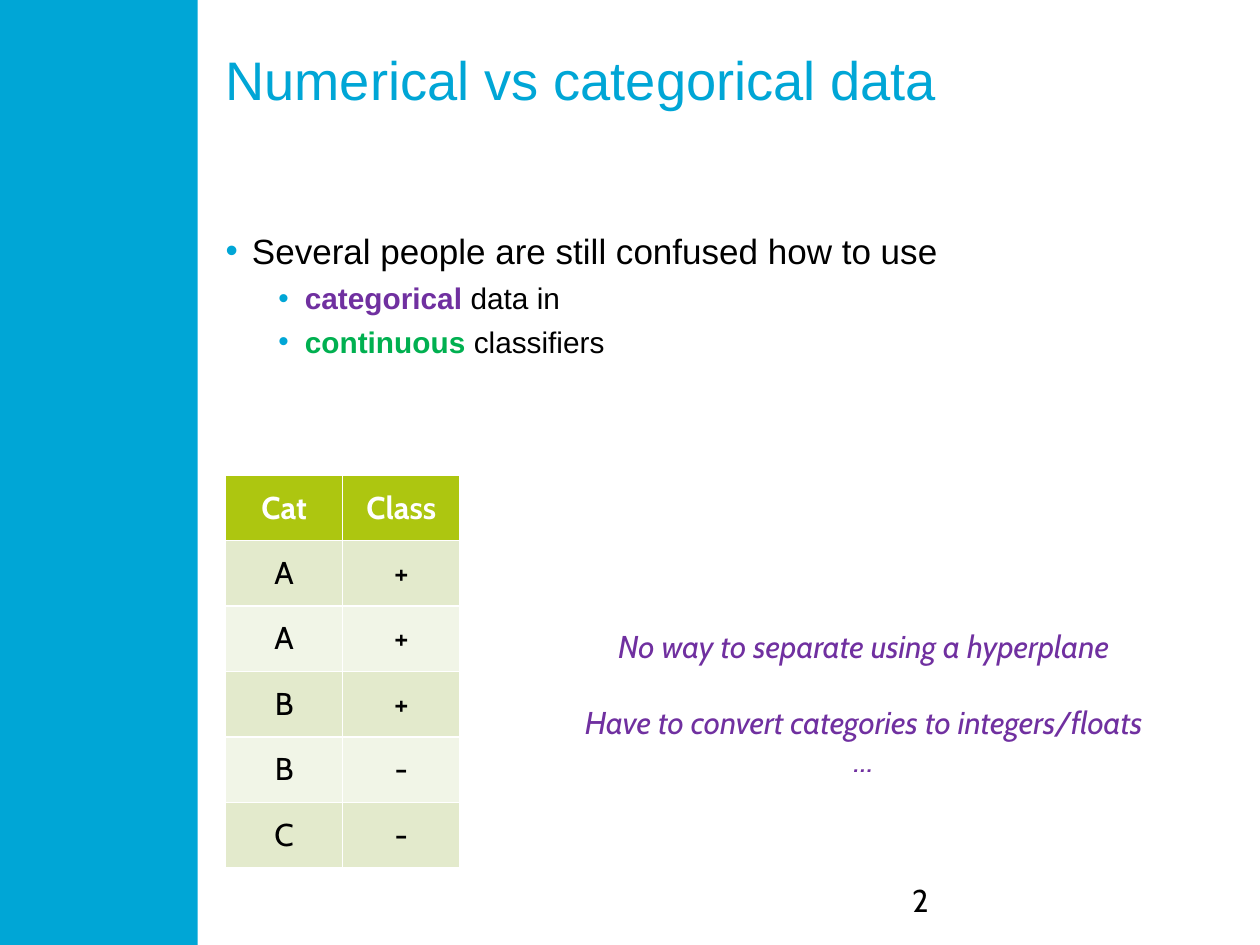
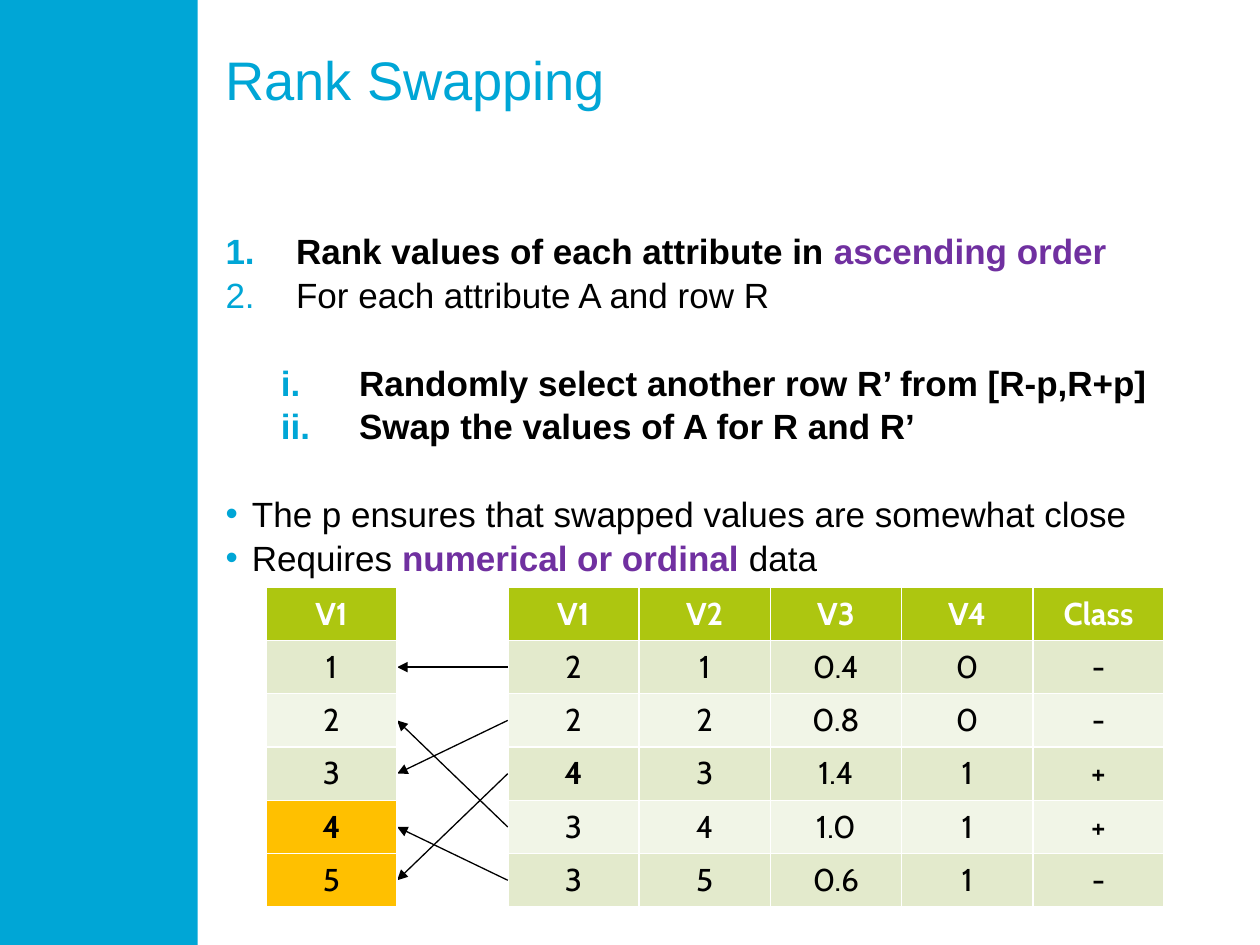
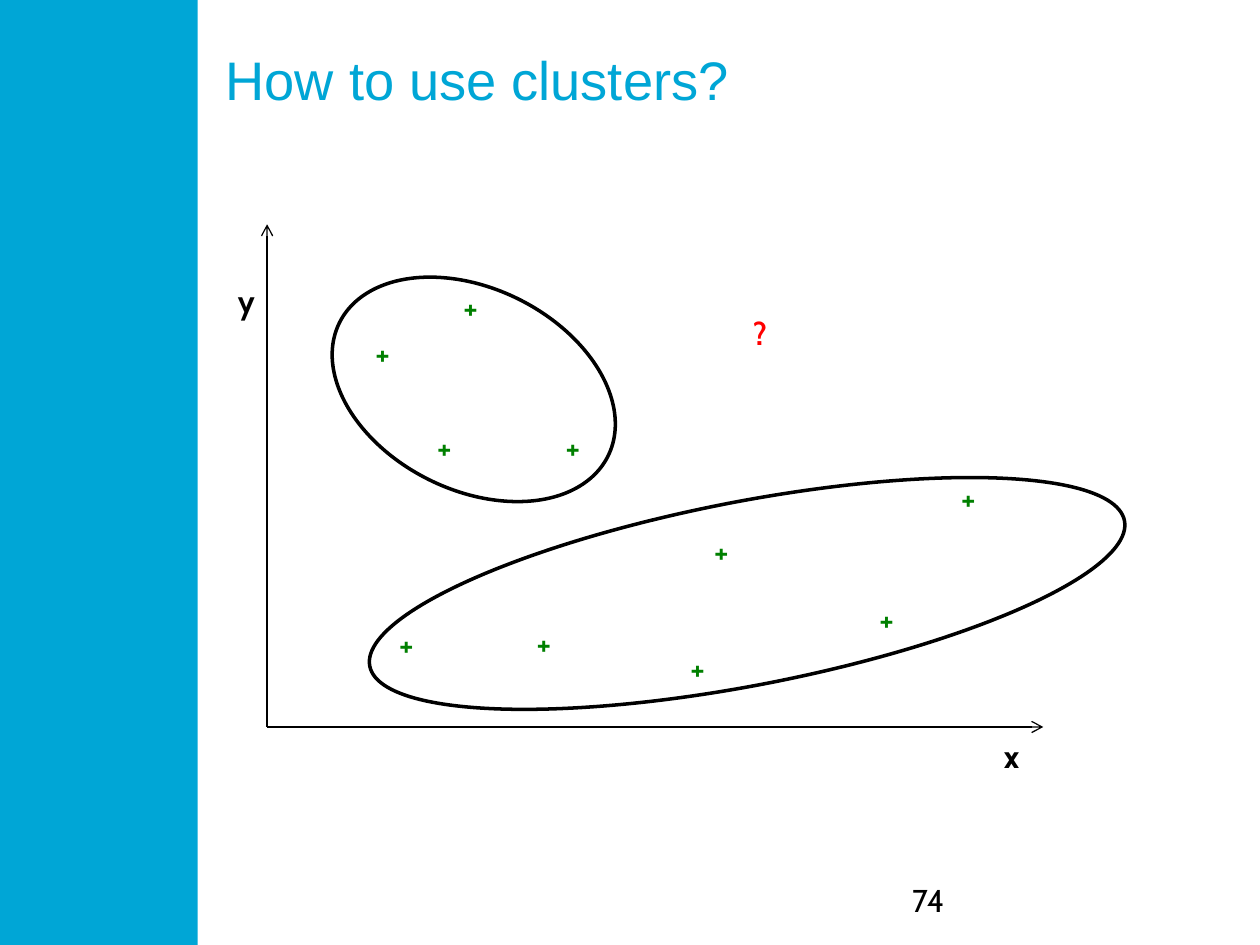
from dataclasses import dataclass
from typing import NamedTuple

from lxml import etree
from pptx import Presentation
from pptx.dml.color import RGBColor
from pptx.enum.shapes import MSO_CONNECTOR, MSO_SHAPE
from pptx.enum.text import MSO_ANCHOR, MSO_AUTO_SIZE, PP_ALIGN
from pptx.oxml.ns import qn
from pptx.util import Emu, Inches, Pt

RECTANGLE, ELLIPSE = MSO_SHAPE.RECTANGLE, MSO_SHAPE.OVAL
STRAIGHT = MSO_CONNECTOR.STRAIGHT
TOP, MIDDLE = MSO_ANCHOR.TOP, MSO_ANCHOR.MIDDLE
LEFT, CENTER = PP_ALIGN.LEFT, PP_ALIGN.CENTER
FIXED, GROW = MSO_AUTO_SIZE.NONE, MSO_AUTO_SIZE.SHAPE_TO_FIT_TEXT

# Shared colours and fonts
CYAN = RGBColor(0x00, 0xA6, 0xD6)
BLACK = RGBColor(0x00, 0x00, 0x00)
WHITE = RGBColor(0xFF, 0xFF, 0xFF)
PURPLE = RGBColor(0x70, 0x30, 0xA0)
GREEN = RGBColor(0x00, 0xB0, 0x50)
DARK_GREEN = RGBColor(0x00, 0x80, 0x00)
RED = RGBColor(0xFF, 0x00, 0x00)
LIME = RGBColor(0xAD, 0xC6, 0x10)
ORANGE = RGBColor(0xFF, 0xC0, 0x00)
ROW_FILLS = (RGBColor(0xF1, 0xF5, 0xE7), RGBColor(0xE3, 0xEA, 0xCC))
HEAD_FONT, TEXT_FONT = "Arial", "Cabin"

# Grid: 100 columns by 75 rows
SLIDE_WIDTH, SLIDE_HEIGHT = Inches(10), Inches(7.5)
UNIT = SLIDE_WIDTH / 100
TITLE_ONLY = 5


def grid(count: float) -> Emu:
    return Emu(round(count * UNIT))


class Area(NamedTuple):
    left: float
    top: float
    width: float
    height: float

    def emu(self) -> list[Emu]:
        return [grid(count) for count in self]


class Point(NamedTuple):
    column: float
    row: float


class Span(NamedTuple):
    text: str
    bold: bool = False
    color: RGBColor = BLACK


class Marker(NamedTuple):
    tag: str
    value: str
    margin: float
    hanging: float
    level: int = 0


@dataclass
class Item:
    marker: Marker
    spans: list[Span]
    size: float = 20
    before: float = 0


@dataclass
class DataTable:
    left: float
    top: float
    column_width: float
    row_height: float
    rows: list[list[str]]
    marked_rows: tuple[int, ...] = ()
    bold_cells: tuple[tuple[int, int], ...] = ()

    def row_center(self, row: int) -> float:
        return self.top + (row + 0.5) * self.row_height


BAND = Area(0, 0, 15.7, 75)
TITLE = Area(17.9, 3.7, 77, 11.6)
BODY = Area(17.9, 18.1, 77, 52.6)
PAGE_NUMBER = Area(71.7, 69.5, 23.3, 4)

BULLET = Marker("buChar", "•", 2.1, 2.1)
SUB_BULLET = Marker("buChar", "•", 6.3, 2.1, 1)
NUMBER = Marker("buAutoNum", "arabicPeriod", 5.6, 5.6)
ROMAN = Marker("buAutoNum", "romanLcPeriod", 10.6, 6.2, 1)


def set_font(font, name: str, size: float, color: RGBColor, bold: bool = False) -> None:
    font.name, font.size, font.bold = name, Pt(size), bold
    font.color.rgb = color


def set_margins(frame, side: float, edge: float) -> None:
    frame.margin_left = frame.margin_right = grid(side)
    frame.margin_top = frame.margin_bottom = grid(edge)


def add_page(deck, title: str):
    """Add a page with the side band and the formatted title."""
    page = deck.slides.add_slide(deck.slide_layouts[TITLE_ONLY])
    band = page.shapes.add_shape(RECTANGLE, *BAND.emu())
    band.shadow.inherit = False
    band.fill.solid()
    band.fill.fore_color.rgb = CYAN
    band.line.fill.background()

    box = page.shapes.title
    box.left, box.top, box.width, box.height = TITLE.emu()
    frame = box.text_frame
    frame.text = title
    frame.vertical_anchor, frame.auto_size, frame.word_wrap = TOP, FIXED, True
    set_margins(frame, 0, 0)
    para = frame.paragraphs[0]
    para.alignment = LEFT
    set_font(para.font, HEAD_FONT, 31, CYAN)
    return page


def set_marker(para, marker: Marker) -> None:
    properties = para._p.get_or_add_pPr()
    properties.set("marL", str(grid(marker.margin)))
    properties.set("indent", str(-grid(marker.hanging)))
    para.level = marker.level
    tint = etree.SubElement(properties, qn("a:buClr"))
    etree.SubElement(tint, qn("a:srgbClr"), val=str(CYAN))
    etree.SubElement(properties, qn("a:buFont"), typeface=HEAD_FONT)
    key = "char" if marker.tag == "buChar" else "type"
    etree.SubElement(properties, qn("a:" + marker.tag), {key: marker.value})


def add_body(page, items: list[Item]) -> None:
    frame = page.shapes.add_textbox(*BODY.emu()).text_frame
    frame.word_wrap = True
    set_margins(frame, 0, 0)
    for index, item in enumerate(items):
        para = frame.add_paragraph() if index else frame.paragraphs[0]
        set_marker(para, item.marker)
        para.line_spacing, para.space_before = Pt(25), Pt(item.before)
        set_font(para.font, HEAD_FONT, item.size, BLACK)
        for span in item.spans:
            run = para.add_run()
            run.text, run.font.bold = span.text, span.bold
            run.font.color.rgb = span.color


def add_label(page, area: Area, text: str, color: RGBColor = BLACK, bold: bool = True):
    """Add a one-line label that fits its text."""
    frame = page.shapes.add_textbox(*area.emu()).text_frame
    frame.word_wrap, frame.auto_size = False, GROW
    frame.text = text
    set_font(frame.paragraphs[0].font, TEXT_FONT, 18, color, bold)
    return frame


def add_page_number(page, number: int) -> None:
    frame = add_label(page, PAGE_NUMBER, str(number), bold=False)
    frame.word_wrap, frame.auto_size = True, FIXED
    set_margins(frame, 0.7, 0.4)


def add_data_table(page, data: DataTable) -> None:
    row_count, column_count = len(data.rows), len(data.rows[0])
    area = Area(data.left, data.top, column_count * data.column_width,
                row_count * data.row_height)
    table = page.shapes.add_table(row_count, column_count, *area.emu()).table
    for row, texts in enumerate(data.rows):
        for column, text in enumerate(texts):
            cell = table.cell(row, column)
            fill = LIME if row == 0 else ROW_FILLS[row % 2]
            cell.fill.solid()
            cell.fill.fore_color.rgb = ORANGE if row in data.marked_rows else fill
            cell.vertical_anchor = MIDDLE
            cell.text = text
            para = cell.text_frame.paragraphs[0]
            para.alignment = CENTER
            bold = row == 0 or (row, column) in data.bold_cells
            set_font(para.font, TEXT_FONT, 18, BLACK if row else WHITE, bold)


def add_arrow(page, start: Point, end: Point, head: str) -> None:
    ends = [grid(count) for count in (*start, *end)]
    arrow = page.shapes.add_connector(STRAIGHT, *ends)
    arrow.line.color.rgb, arrow.line.width = BLACK, Pt(0.75)
    etree.SubElement(arrow.line._get_or_add_ln(), qn("a:tailEnd"), type=head)
    etree.SubElement(arrow._element.spPr, qn("a:effectLst"))


def add_cluster(page, area: Area, rotation: float) -> None:
    ring = page.shapes.add_shape(ELLIPSE, *area.emu())
    ring.shadow.inherit = False
    ring.fill.background()
    ring.line.color.rgb, ring.line.width = BLACK, Pt(2)
    ring.rotation = rotation


def build_categorical(deck) -> None:
    page = add_page(deck, "Numerical vs categorical data")
    add_body(page, [
        Item(BULLET, [Span("Several people are still confused how to use")]),
        Item(SUB_BULLET, [Span("categorical", True, PURPLE), Span(" data in")], 17),
        Item(SUB_BULLET, [Span("continuous", True, GREEN), Span(" classifiers")], 17),
    ])
    add_page_number(page, 2)
    pairs = ["A+", "A+", "B+", "B-", "C-"]
    add_data_table(page, DataTable(17.9, 37.7, 9.3, 5.2,
                                   [["Cat", "Class"], *map(list, pairs)]))

    # Remarks beside the table, with the second one set apart
    remarks = ["No way to separate using a hyperplane",
               "Have to convert categories to integers/floats", "…"]
    frame = add_label(page, Area(42.8, 49.3, 51.5, 13.1), "\n".join(remarks))
    for para in frame.paragraphs:
        para.alignment = CENTER
        set_font(para.font, TEXT_FONT, 18, PURPLE)
        para.font.italic = True
    frame.paragraphs[1].space_before = Pt(21.5)


def build_rank_swapping(deck) -> None:
    page = add_page(deck, "Rank Swapping")
    add_body(page, [
        Item(NUMBER, [Span("Rank values of each attribute in ", True),
                      Span("ascending order", True, PURPLE)]),
        Item(NUMBER, [Span("For each attribute A and row R")]),
        Item(ROMAN, [Span("Randomly select another row R’ from [R-p,R+p]", True)],
             before=25),
        Item(ROMAN, [Span("Swap the values of A for R and R’", True)]),
        Item(BULLET, [Span("The p ensures that swapped values are somewhat close")],
             before=25),
        Item(BULLET, [Span("Requires "), Span("numerical or ordinal", True, PURPLE),
                      Span(" data")]),
    ])

    # Swapped data on the right, ranked values on the left
    lines = ["V1 V2 V3 V4 Class", "2 1 0.4 0 -", "2 2 0.8 0 -",
             "4 3 1.4 1 +", "3 4 1.0 1 +", "3 5 0.6 1 -"]
    swapped = DataTable(40.3, 46.6, 10.42, 4.23, [line.split() for line in lines],
                        bold_cells=((3, 0),))
    ranked = DataTable(21.1, 46.6, 10.42, 4.23,
                       [[text] for text in ("V1", "1", "2", "3", "4", "5")],
                       marked_rows=(4, 5), bold_cells=((4, 0),))
    add_data_table(page, swapped)
    ranked_edge = ranked.left + ranked.column_width
    for source, target in ((1, 1), (4, 2), (2, 3), (3, 5), (5, 4)):
        add_arrow(page, Point(swapped.left, swapped.row_center(source)),
                  Point(ranked_edge, ranked.row_center(target)), "triangle")
    add_data_table(page, ranked)


def build_clusters(deck) -> None:
    page = add_page(deck, "How to use clusters?")

    # Axes and their names
    origin = Point(21.2, 57.7)
    for end in (Point(origin.column, 17.8), Point(82.8, origin.row)):
        add_arrow(page, origin, end, "arrow")
    add_label(page, Area(17.9, 21.9, 3.5, 4), "y")
    add_label(page, Area(78.7, 58, 3.6, 4), "x")

    # Known samples and the unknown one
    samples = [Point(55.7, 41.7), Point(41.6, 49), Point(30.7, 49.1),
               Point(43.9, 33.5), Point(28.8, 26), Point(33.7, 33.5),
               Point(53.8, 51), Point(68.8, 47.1), Point(75.3, 37.5),
               Point(35.8, 22.4)]
    for sample in samples:
        add_label(page, Area(*sample, 4.1, 4), "+", DARK_GREEN)
    add_label(page, Area(58.8, 24.4, 3.4, 4), "?", RED)

    add_cluster(page, Area(28.8, 39.8, 61, 14.6), 349.1)
    add_cluster(page, Area(29.6, 19, 16, 23.8), 296.4)
    add_page_number(page, 74)


def main() -> None:
    deck = Presentation()
    deck.slide_width, deck.slide_height = SLIDE_WIDTH, SLIDE_HEIGHT
    build_categorical(deck)
    build_rank_swapping(deck)
    build_clusters(deck)
    deck.save("out.pptx")


if __name__ == "__main__":
    main()
